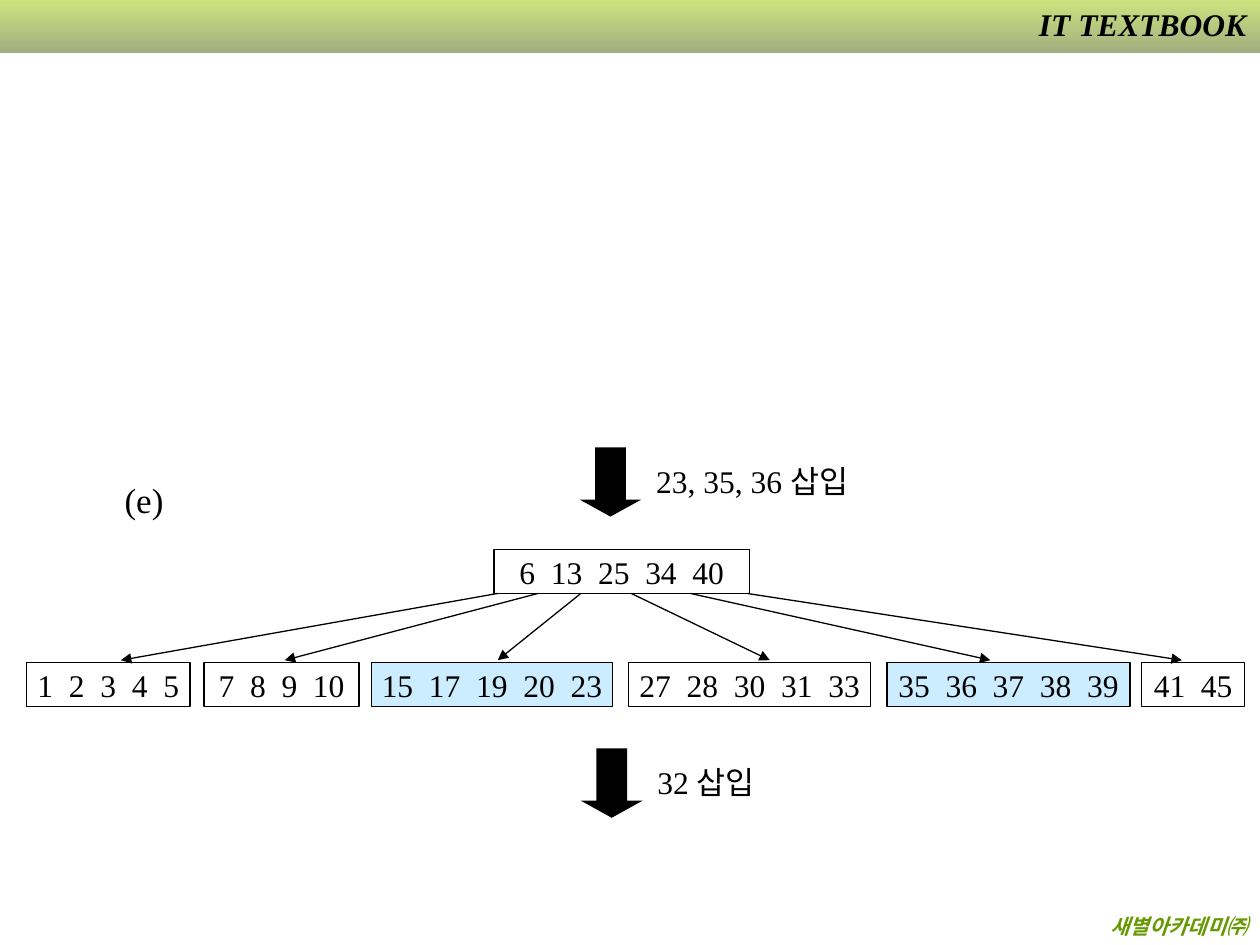
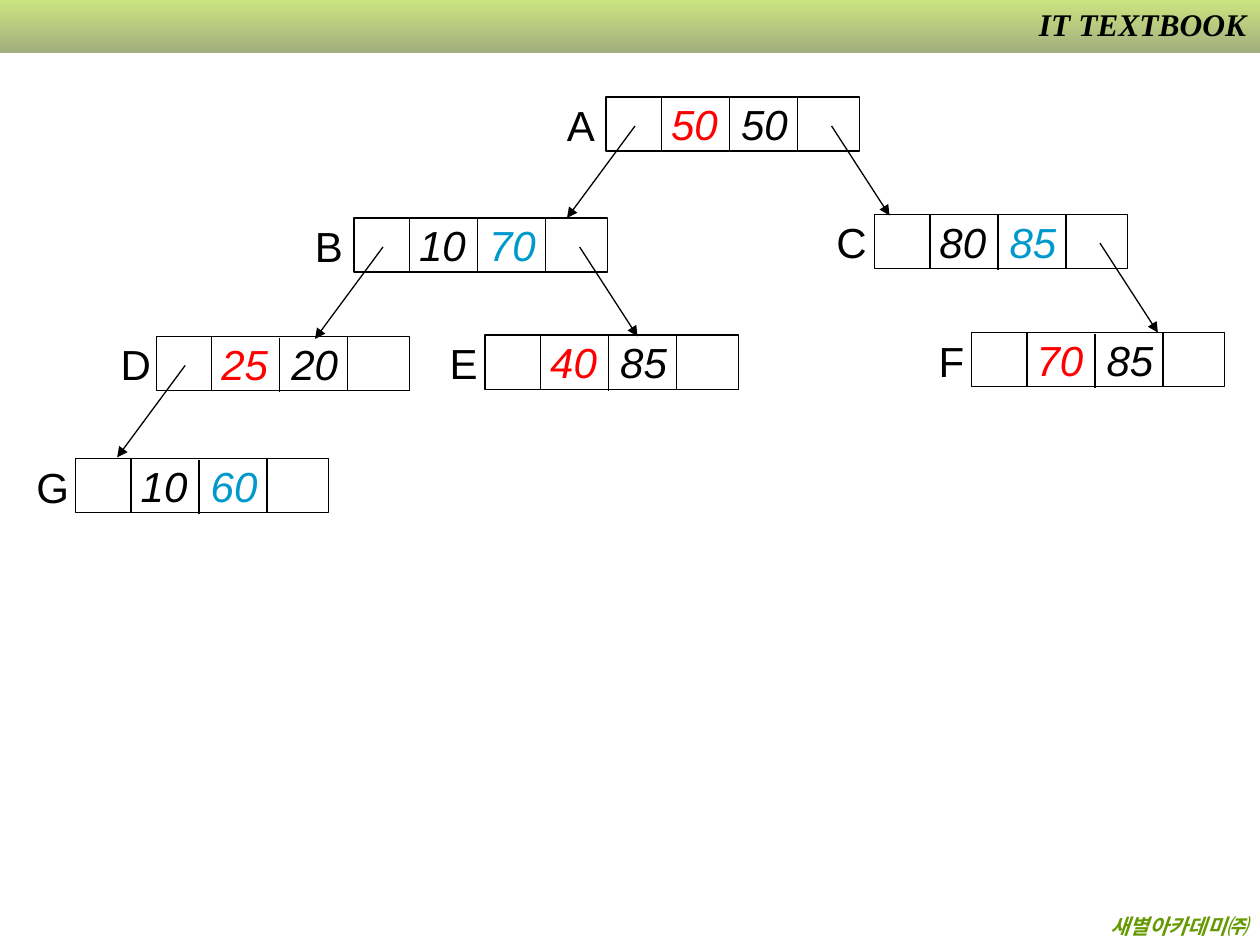
from dataclasses import dataclass

import lxml.etree
import pptx
import pptx.dml.color
import pptx.enum.shapes
import pptx.enum.text
import pptx.oxml.ns
import pptx.util

SHAPES = pptx.enum.shapes.MSO_SHAPE
ALIGN = pptx.enum.text.PP_ALIGN
qn = pptx.oxml.ns.qn
COLUMNS, ROWS = 100, 75
WIDTH, HEIGHT = pptx.util.Inches(10), pptx.util.Inches(7.5)


@dataclass(frozen=True)
class Theme:
    serif: str = "Times New Roman"
    sans: str = "Arial"
    black: str = "000000"
    white: str = "FFFFFF"
    red: str = "FF0000"
    blue: str = "0099CC"
    changed_leaf: str = "CCECFF"
    footer_green: str = "669900"
    band_top: str = "99CC00"
    band_bottom: str = "475E00"
    footer_size: float = 12
    body_size: float = 18
    step_size: float = 20
    node_size: float = 24
    line: float = 0.75


THEME = Theme()


@dataclass(frozen=True)
class Box:
    """A rectangle in grid columns and rows."""
    left: float
    top: float
    width: float
    height: float

    def inner(self, left, top, width, height):
        return Box(self.left + left, self.top + top, width, height)

    def point(self, column, row):
        return self.left + column, self.top + row

    def lengths(self):
        return (*grid(self.left, self.top), *grid(self.width, self.height))


PAGE = Box(0, 0, COLUMNS, ROWS)


def grid(column, row):
    return round(WIDTH * column / COLUMNS), round(HEIGHT * row / ROWS)


def rgb(colour):
    return pptx.dml.color.RGBColor.from_string(colour)


def add_run(paragraph, text, size, font=THEME.serif, colour=THEME.black, bold=False, italic=False):
    run = paragraph.add_run()
    run.text = text
    run.font.name, run.font.size = font, pptx.util.Pt(size)
    run.font.color.rgb = rgb(colour)
    run.font.bold, run.font.italic = bold, italic
    return run


def add_text(slide, box, text, size, align=ALIGN.LEFT, wrap=False, **style):
    shape = slide.shapes.add_textbox(*box.lengths())
    frame = shape.text_frame
    frame.word_wrap = wrap
    frame.auto_size = pptx.enum.text.MSO_AUTO_SIZE.SHAPE_TO_FIT_TEXT
    frame.paragraphs[0].alignment = align
    return add_run(frame.paragraphs[0], text, size, **style)


def add_shape(slide, box, kind=SHAPES.RECTANGLE, fill=None, outlined=True):
    shape = slide.shapes.add_shape(kind, *box.lengths())
    shape.shadow.inherit = False
    if fill:
        shape.fill.solid()
        shape.fill.fore_color.rgb = rgb(fill)
    else:
        shape.fill.background()
    if outlined:
        shape.line.color.rgb = rgb(THEME.black)
        shape.line.width = pptx.util.Pt(THEME.line)
    else:
        shape.line.fill.background()
    return shape


def add_key_box(slide, box, fill=None):
    """Draw an outlined box and return its centred paragraph."""
    frame = add_shape(slide, box, fill=fill).text_frame
    frame.word_wrap = False
    frame.vertical_anchor = pptx.enum.text.MSO_ANCHOR.MIDDLE
    frame.paragraphs[0].alignment = ALIGN.CENTER
    return frame.paragraphs[0]


def add_line(slide, start, end, arrow=False):
    connector = slide.shapes.add_connector(
        pptx.enum.shapes.MSO_CONNECTOR.STRAIGHT, *grid(*start), *grid(*end))
    connector.line.color.rgb = rgb(THEME.black)
    connector.line.width = pptx.util.Pt(THEME.line)
    properties = connector._element.spPr
    if arrow:
        lxml.etree.SubElement(properties.find(qn("a:ln")), qn("a:tailEnd"), type="triangle")
    lxml.etree.SubElement(properties, qn("a:effectLst"))


def add_text_shadow(run, colour):
    effects = lxml.etree.Element(qn("a:effectLst"))
    shadow = lxml.etree.SubElement(effects, qn("a:outerShdw"), dist="25400", dir="2700000")
    lxml.etree.SubElement(shadow, qn("a:srgbClr"), val=colour)
    run.font._element.find(qn("a:solidFill")).addnext(effects)


def add_frame(slide, page):
    """Header band, series title and publisher footer."""
    band = add_shape(slide, page.inner(0, 0, page.width, 4.2), outlined=False)
    band.fill.gradient()
    band.fill.gradient_angle = 270
    for stop, position, colour in zip(
            band.fill.gradient_stops, (0, 1), (THEME.band_top, THEME.band_bottom)):
        stop.position = position
        stop.color.rgb = rgb(colour)
    for colour in band._element.spPr.iter(qn("a:srgbClr")):
        lxml.etree.SubElement(colour, qn("a:alpha"), val="50000")
    style = dict(align=ALIGN.RIGHT, wrap=True, bold=True, italic=True)
    add_text(slide, page.inner(0.6, 72, 99.4, 3), "새별아카데미㈜", THEME.footer_size,
             colour=THEME.footer_green, **style)
    title = add_text(slide, page.inner(78.8, -0.1, 21.1, 4), "IT TEXTBOOK",
                     THEME.body_size, **style)
    add_text_shadow(title, THEME.white)


def add_insert_step(slide, box, text):
    """A block arrow followed by the keys being inserted."""
    arrow = add_shape(slide, box.inner(0, 0, 4.9, box.height), SHAPES.DOWN_ARROW,
                      THEME.black, outlined=False)
    arrow.adjustments[0], arrow.adjustments[1] = 0.5, 0.276
    add_text(slide, box.inner(5.1, 0.7, box.width - 5.1, 4), text, THEME.body_size)


def add_b_tree(slide, box):
    root_keys = 6, 13, 25, 34, 40
    # left, width, arrow start, arrow tip, keys, changed
    leaves = (
        (0, 13, 37.4, 7.5, (1, 2, 3, 4, 5), False),
        (14.1, 12.3, 40.6, 20.5, (7, 8, 9, 10), False),
        (27.4, 19.1, 44, 37.4, (15, 17, 19, 20, 23), True),
        (47.8, 19.2, 48, 59, (27, 28, 30, 31, 33), False),
        (68.3, 19.3, 52.7, 76.5, (35, 36, 37, 38, 39), True),
        (88.5, 8.2, 57.2, 91.7, (41, 45), False),
    )
    node_height, leaf_top = 3.5, 9

    def add_node(left, top, width, keys, fill=None):
        paragraph = add_key_box(slide, box.inner(left, top, width, node_height), fill)
        add_run(paragraph, "  ".join(map(str, keys)), THEME.body_size)

    add_node(37.1, 0, 20.3, root_keys)
    for left, width, start, tip, keys, changed in leaves:
        add_node(left, leaf_top, width, keys, THEME.changed_leaf if changed else None)
        add_line(slide, box.point(start, node_height), box.point(tip, leaf_top - 0.2), arrow=True)


def add_pair_node(slide, box, name, label_offset, keys, colours, children):
    """A node with two keys between its left and right pointer fields."""
    pointers = {"left": ((2.3, 2.3), (-3.1, 9.6)), "right": ((17.9, 2.3), (22.5, 9.4))}
    add_text(slide, box.inner(-label_offset, -0.3, 4.2, 5), name, THEME.node_size,
             font=THEME.sans)
    add_shape(slide, box)
    paragraph = add_key_box(slide, box.inner(4.4, 0, 10.8, box.height))
    for text, colour in zip((f"{keys[0]}  ", str(keys[1])), colours):
        add_run(paragraph, text, THEME.node_size, THEME.sans, colour, italic=True)
    add_line(slide, box.point(9.8, 0.1), box.point(9.8, box.height + 0.1))
    for side in children:
        start, tip = pointers[side]
        add_line(slide, box.point(*start), box.point(*tip), arrow=True)


def add_pair_tree(slide, box):
    first_red = THEME.red, THEME.black
    second_blue = THEME.black, THEME.blue
    nodes = (
        ("A", 42.1, 0, 4.1, (50, 50), first_red, ("left", "right")),
        ("B", 22.1, 9.6, 4.1, (10, 70), second_blue, ("left", "right")),
        ("C", 63.4, 9.3, 4, (80, 85), second_blue, ("right",)),
        ("D", 6.4, 19, 3.8, (25, 20), first_red, ("left",)),
        ("E", 32.5, 18.9, 3.8, (40, 85), first_red, ()),
        ("F", 71.1, 18.7, 3.6, (70, 85), first_red, ()),
        ("G", 0, 28.7, 4.1, (10, 60), second_blue, ()),
    )
    for name, left, top, label_offset, keys, colours, children in nodes:
        add_pair_node(slide, box.inner(left, top, 20.1, 4.3), name, label_offset,
                      keys, colours, children)


def build_insertion_slide(slide, page):
    add_insert_step(slide, page.inner(46, 35.5, 22.9, 5.5), "23, 35, 36 삽입")
    add_text(slide, page.inner(8.9, 37.5, 5.2, 4.4), "(e)", THEME.step_size, wrap=True)
    add_b_tree(slide, page.inner(2.1, 43.6, 96.7, 12.5))
    add_insert_step(slide, page.inner(46.1, 59.4, 15.5, 5.5), "32 삽입")


def build_pair_tree_slide(slide, page):
    add_pair_tree(slide, page.inner(6, 7.7, 91.2, 33))


def main():
    presentation = pptx.Presentation()
    presentation.slide_width, presentation.slide_height = WIDTH, HEIGHT
    for build in (build_insertion_slide, build_pair_tree_slide):
        slide = presentation.slides.add_slide(presentation.slide_layouts[6])
        add_frame(slide, PAGE)
        build(slide, PAGE)
    presentation.save("out.pptx")


if __name__ == "__main__":
    main()
